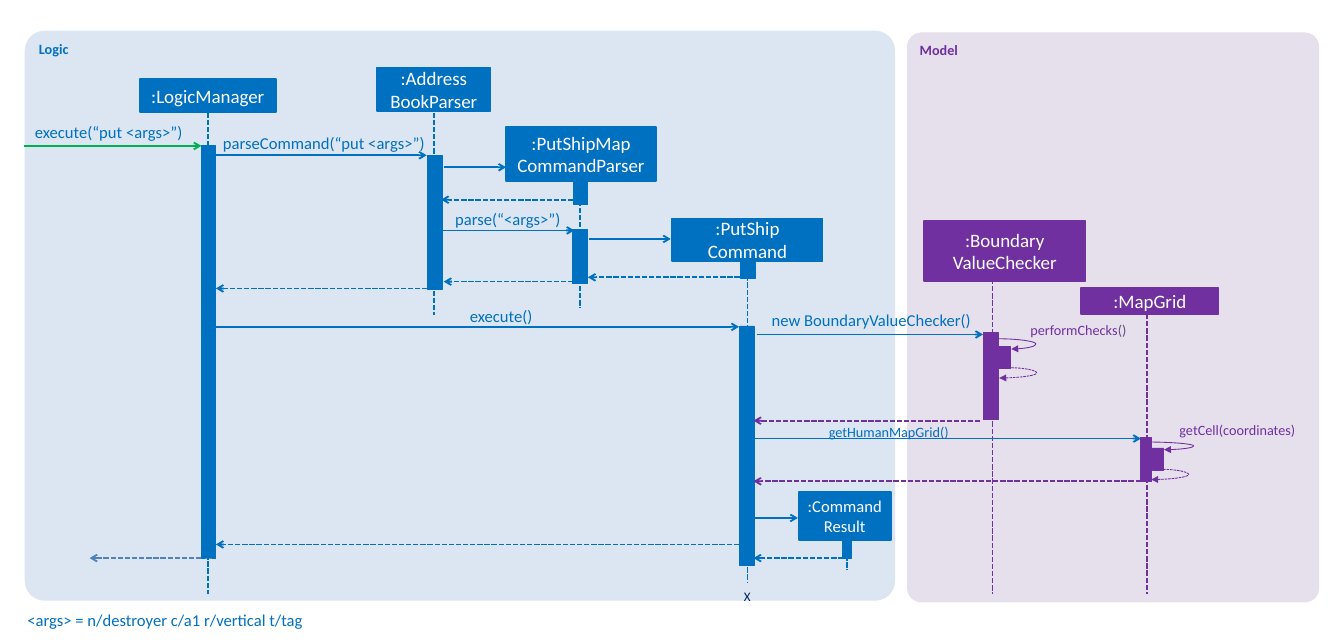
"""Draw the sequence diagram of the put command across Logic and Model."""
from dataclasses import dataclass

from lxml import etree
from pptx import Presentation
from pptx.dml.color import RGBColor
from pptx.enum.dml import MSO_LINE
from pptx.enum.shapes import MSO_CONNECTOR, MSO_SHAPE
from pptx.enum.text import MSO_ANCHOR, MSO_AUTO_SIZE, PP_ALIGN
from pptx.oxml.ns import qn
from pptx.util import Inches, Pt

RECT, ROUNDED = MSO_SHAPE.RECTANGLE, MSO_SHAPE.ROUNDED_RECTANGLE
STRAIGHT, CURVE = MSO_CONNECTOR.STRAIGHT, MSO_CONNECTOR.CURVE
LEFT, CENTER, RIGHT = PP_ALIGN.LEFT, PP_ALIGN.CENTER, PP_ALIGN.RIGHT
TOP, MIDDLE = MSO_ANCHOR.TOP, MSO_ANCHOR.MIDDLE
DASHED = MSO_LINE.SQUARE_DOT
BLUE, PURPLE, GREEN, STEEL = "0070C0", "7030A0", "00B050", "4F81BD"
WHITE, NAVY, PLUM = "FFFFFF", "002060", "604A7B"
LOGIC_TINT, MODEL_TINT = "DCE6F2", "E6E0EC"


@dataclass
class Panel:
    name: str
    x: float
    y: float
    w: float
    tint: str
    color: str


@dataclass
class Participant:
    name: str
    x: float
    y: float
    w: float
    h: float
    color: str = BLUE
    size: int = 16


@dataclass
class Lifeline:
    x: float
    top: float
    bottom: float
    color: str = BLUE


@dataclass
class Activation:
    x: float
    y: float
    h: float
    w: float = 0.17
    color: str = BLUE


@dataclass
class Message:
    start: float
    end: float
    y: float
    color: str = BLUE
    reply: bool = False


@dataclass
class SelfCall:
    start: float
    end: float
    top: float
    bottom: float
    bulge: float
    reply: bool = False


@dataclass
class Label:
    text: str
    x: float
    y: float
    w: float
    size: int = 14
    color: str = BLUE
    align: PP_ALIGN = RIGHT
    ending: str = ""


PANELS = [
    Panel("Model", 10.63, 0.38, 4.83, MODEL_TINT, PURPLE),
    Panel("Logic", 0.29, 0.36, 10.2, LOGIC_TINT, BLUE),
]
LIFELINES = [
    Lifeline(2.44, 1.32, 6.96), Lifeline(5.09, 1.32, 3.69),
    Lifeline(6.8, 2.1, 3.61), Lifeline(8.76, 3.06, 6.83),
    Lifeline(9.93, 6.34, 6.68),
    Lifeline(11.63, 3.27, 6.96, PURPLE), Lifeline(13.44, 3.68, 6.96, PURPLE),
]
ACTIVATIONS = [
    Activation(2.36, 1.71, 4.83), Activation(5.01, 1.82, 1.57),
    Activation(6.72, 2.1, 0.3), Activation(6.71, 2.69, 0.63),
    Activation(8.68, 3.07, 0.19), Activation(8.67, 3.82, 2.81),
    Activation(9.87, 6.34, 0.2, 0.11),
    Activation(11.52, 3.9, 1.02, 0.18, PURPLE),
    Activation(11.7, 4.06, 0.26, 0.14, PURPLE),
    Activation(13.36, 5.13, 0.51, 0.14, PURPLE),
    Activation(13.5, 5.25, 0.26, 0.14, PURPLE),
]
PARTICIPANTS = [
    Participant(":LogicManager", 1.64, 0.93, 1.59, 0.38),
    Participant(":Address\nBookParser", 4.42, 0.79, 1.33, 0.51),
    Participant(":PutShipMap\nCommandParser", 5.93, 1.49, 1.76, 0.63),
    Participant(":PutShip\nCommand", 7.88, 2.56, 1.76, 0.5),
    Participant(":Command\nResult", 9.36, 5.77, 1.08, 0.56, size=14),
    Participant(":Boundary\nValueChecker", 10.83, 2.59, 1.89, 0.7, PURPLE),
    Participant(":MapGrid", 12.67, 3.38, 1.61, 0.3, PURPLE),
]
LABELS = [
    Label("execute(“put <args>”)", 0.15, 1.43, 1.99),
    Label("parseCommand(“put <args>”)", 2.57, 1.56, 2.41),
    Label("parse(“<args>”)", 5.31, 2.45, 1.26),
    Label("execute()", 5.3, 3.58, 0.94),
    Label("new BoundaryValueChecker()", 8.83, 3.63, 2.55),
    Label("performChecks", 11.93, 3.76, 1.27, 12, PURPLE, ending="()"),
    Label("getHumanMapGrid()", 9.36, 4.96, 1.76, 12),
    Label("getCell(coordinates)", 13.57, 4.94, 1.61, 12, PURPLE),
    Label("<args> = n/destroyer c/a1 r/vertical t/tag", 0.32, 7.15, 10.12, align=LEFT),
]
MESSAGES = [
    Message(0.28, 2.36, 1.71, GREEN), Message(2.53, 5, 1.82),
    Message(5.2, 5.93, 1.96), Message(6.72, 5.17, 2.34, reply=True),
    Message(5.18, 6.73, 2.7), Message(6.9, 7.86, 2.8),
    Message(8.67, 6.89, 3.25, reply=True), Message(6.72, 5.2, 3.3, reply=True),
    Message(5.01, 2.53, 3.38, reply=True), Message(2.53, 8.66, 3.83),
    Message(8.87, 11.52, 3.92), Message(11.49, 8.83, 4.93, PURPLE, True),
    Message(8.8, 13.37, 5.14), Message(13.37, 8.83, 5.64, PURPLE, True),
    Message(8.8, 9.35, 6.07), Message(8.66, 2.53, 6.38, reply=True),
    Message(9.97, 8.83, 6.54, reply=True), Message(2.36, 1.05, 6.54, STEEL, True),
]
SELF_CALLS = [
    SelfCall(11.71, 11.85, 3.97, 4.09, 12.14),
    SelfCall(11.85, 11.71, 4.31, 4.43, 12.15, True),
    SelfCall(13.46, 13.64, 5.18, 5.27, 13.99),
    SelfCall(13.63, 13.49, 5.5, 5.62, 13.93, True),
]


def paint(target, color: str) -> None:
    target.rgb = RGBColor.from_string(color)


def write(shape, text: str, *, size: int, color: str, bold: bool = False,
          align: PP_ALIGN = LEFT, anchor: MSO_ANCHOR = TOP,
          ending: str = "", ending_color: str = PLUM) -> None:
    frame = shape.text_frame
    frame.word_wrap = True
    frame.vertical_anchor = anchor
    frame.text = text
    if ending:
        frame.paragraphs[-1].add_run().text = ending
    for paragraph in frame.paragraphs:
        paragraph.alignment = align
        for run in paragraph.runs:
            run.font.name, run.font.size, run.font.bold = "Calibri", Pt(size), bold
            paint(run.font.color, color)
    if ending:
        paint(run.font.color, ending_color)


def add_block(slide, kind: MSO_SHAPE, x: float, y: float, w: float, h: float,
              fill: str, border: float = 0):
    block = slide.shapes.add_shape(kind, Inches(x), Inches(y), Inches(w), Inches(h))
    block.shadow.inherit = False
    block.fill.solid()
    paint(block.fill.fore_color, fill)
    if border:
        paint(block.line.color, fill)
        block.line.width = Pt(border)
    else:
        block.line.fill.background()
    return block


def add_text_box(slide, x: float, y: float, w: float, h: float, margin: float | None = None):
    box = slide.shapes.add_textbox(Inches(x), Inches(y), Inches(w), Inches(h))
    frame = box.text_frame
    frame.auto_size = MSO_AUTO_SIZE.SHAPE_TO_FIT_TEXT
    if margin is not None:
        frame.margin_left = frame.margin_right = Inches(margin)
        frame.margin_top = frame.margin_bottom = Inches(margin)
    return box


def add_line(slide, x1: float, y1: float, x2: float, y2: float, color: str, *,
             kind: MSO_CONNECTOR = STRAIGHT, width: float = 1.5,
             dashed: bool = False, arrow: str = ""):
    line = slide.shapes.add_connector(kind, Inches(x1), Inches(y1), Inches(x2), Inches(y2))
    paint(line.line.color, color)
    line.line.width = Pt(width)
    if dashed:
        line.line.dash_style = DASHED
    if arrow:
        etree.SubElement(line.line._get_or_add_ln(), qn("a:tailEnd"), type=arrow)
    etree.SubElement(line._element.spPr, qn("a:effectLst"))
    return line


def add_self_call(slide, call: SelfCall) -> None:
    loop = add_line(slide, call.start, call.top, call.end, call.bottom, PURPLE,
                    kind=CURVE, width=0.75, dashed=call.reply, arrow="triangle")
    ratio = round((call.bulge - call.start) / (call.end - call.start) * 100000)
    guides = loop._element.spPr.find(qn("a:prstGeom")).find(qn("a:avLst"))
    etree.SubElement(guides, qn("a:gd"), name="adj1", fmla=f"val {ratio}")


def main() -> None:
    deck = Presentation()
    deck.slide_width, deck.slide_height = Inches(15.75), Inches(7.5)
    slide = deck.slides.add_slide(deck.slide_layouts[6])
    for p in PANELS:
        panel = add_block(slide, ROUNDED, p.x, p.y, p.w, 6.68, p.tint)
        panel.adjustments[0] = 0.035
        write(panel, p.name, size=12, color=p.color, bold=True)
    for life in LIFELINES:
        add_line(slide, life.x, life.top, life.x, life.bottom, life.color, dashed=True)
    for a in ACTIVATIONS:
        add_block(slide, RECT, a.x, a.y, a.w, a.h, a.color, 0.75)
    for p in PARTICIPANTS:
        head = add_block(slide, RECT, p.x, p.y, p.w, p.h, p.color, 1.5)
        write(head, p.name, size=p.size, color=WHITE, align=CENTER, anchor=MIDDLE)
    for label in LABELS:
        caption = add_text_box(slide, label.x, label.y, label.w, label.size / 60, 0)
        write(caption, label.text, size=label.size, color=label.color,
              align=label.align, ending=label.ending)
    for m in MESSAGES:
        add_line(slide, m.start, m.y, m.end, m.y, m.color, dashed=m.reply, arrow="arrow")
    for call in SELF_CALLS:
        add_self_call(slide, call)
    destruction = add_text_box(slide, 8.62, 6.85, 0.28, 0.29)
    write(destruction, "X", size=11, color=NAVY)
    deck.save("out.pptx")


if __name__ == "__main__":
    main()
